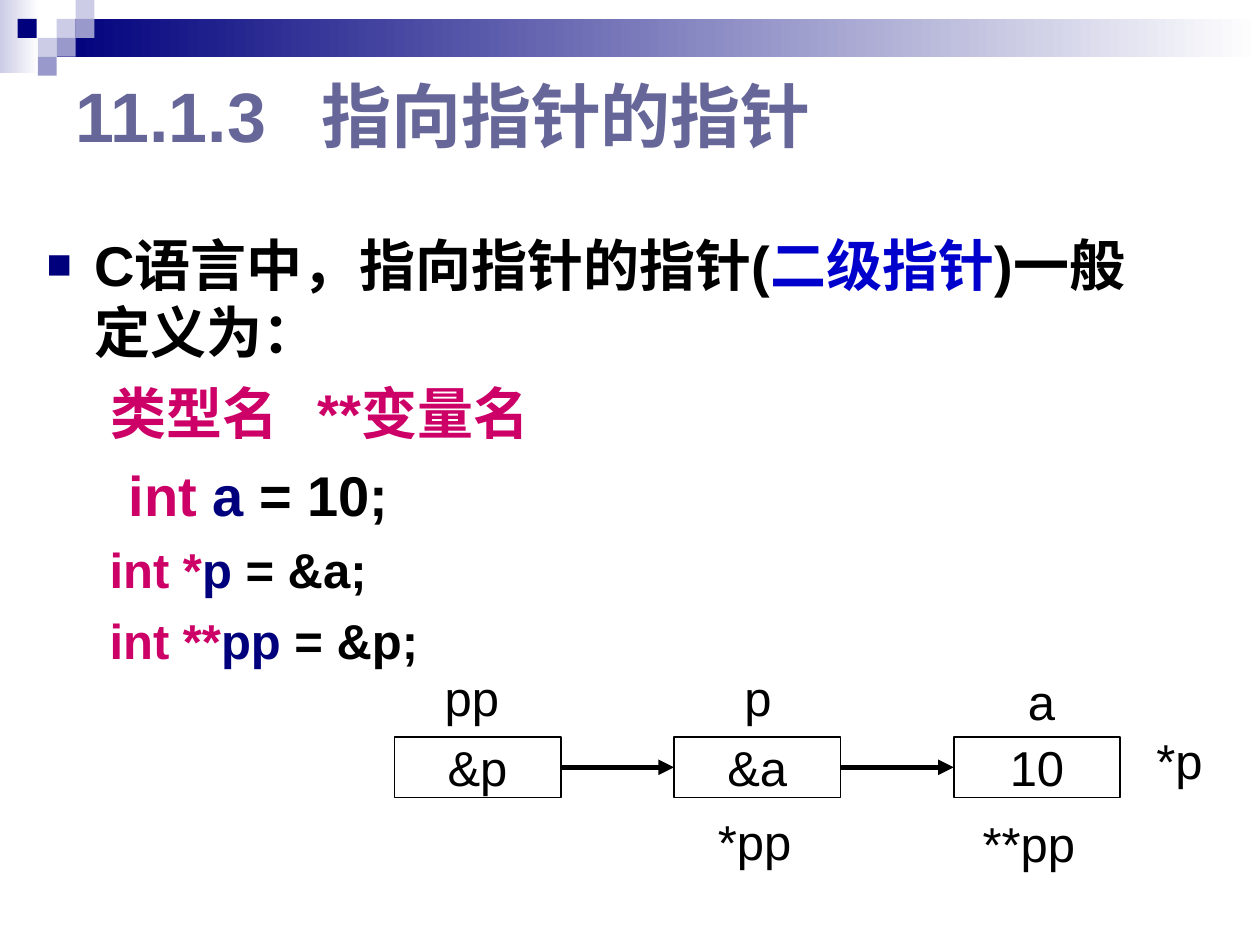
from dataclasses import dataclass
from itertools import pairwise

from lxml.etree import SubElement
from pptx import Presentation
from pptx.dml.color import RGBColor
from pptx.enum.shapes import MSO_CONNECTOR, MSO_SHAPE
from pptx.enum.text import MSO_ANCHOR, MSO_AUTO_SIZE, PP_ALIGN
from pptx.oxml.ns import qn
from pptx.shapes.autoshape import Shape
from pptx.slide import Slide
from pptx.text.text import Font
from pptx.util import Inches, Pt

WHITE = RGBColor(0xFF, 0xFF, 0xFF)
BLACK = RGBColor(0, 0, 0)
NAVY = RGBColor(0, 0, 0x7D)
PALE = RGBColor(0xCC, 0xCC, 0xE6)
LILAC = RGBColor(0x99, 0x99, 0xCC)
SLATE = RGBColor(0x66, 0x66, 0x99)
BLUE = RGBColor(0, 0, 0xCC)
PINK = RGBColor(0xCC, 0, 0x66)

TILE = 0.15
BOX_TOP, BOX_W, BOX_H = 5.85, 1.32, 0.48
LABEL_H = 0.57


@dataclass(frozen=True)
class Band:
    left: float
    top: float
    width: float
    height: float
    color: RGBColor


@dataclass(frozen=True)
class Tile:
    left: float
    top: float
    color: RGBColor


@dataclass(frozen=True)
class Piece:
    text: str
    color: RGBColor


@dataclass(frozen=True)
class Line:
    pieces: tuple[Piece, ...]
    size: int
    margin: float
    indent: float = 0
    level: int = 0
    before: int = 8
    bullet: bool = False


@dataclass(frozen=True)
class Label:
    text: str
    left: float
    top: float
    width: float


@dataclass(frozen=True)
class Cell:
    text: str
    left: float


BANDS = (
    Band(0, 0, 0.31, 0.58, PALE),
    Band(0.45, 0.15, 9.55, 0.3, NAVY),
)
TILES = (
    Tile(0.45, 0.15, PALE),
    Tile(0.6, 0, PALE),
    Tile(0.6, 0.15, LILAC),
    Tile(0.3, 0.3, PALE),
    Tile(0.14, 0.15, NAVY),
    Tile(0.45, 0.3, LILAC),
    Tile(0.3, 0.45, LILAC),
)
LINES = (
    Line((Piece("C语言中，指向指针的指针(", BLACK), Piece("二级指针", BLUE),
          Piece(")一般定义为：", BLACK)), 32, 0.38, -0.38, bullet=True),
    Line((Piece("类型名\t**变量名", PINK),), 32, 2.15, -1.64),
    Line((Piece("int ", PINK), Piece("a", NAVY), Piece(" = 10;", BLACK)), 32, 0.65),
    Line((Piece("int *", PINK), Piece("p", NAVY), Piece(" = &a;", BLACK)),
         28, 0.5, level=1, before=7),
    Line((Piece("int **", PINK), Piece("pp", NAVY), Piece(" = &p;", BLACK)),
         28, 0.5, level=1, before=7),
)
CELLS = (Cell("&p", 3.13), Cell("&a", 5.35), Cell("10", 7.57))
LABELS = (
    Label("pp", 3.43, 5.25, 0.65),
    Label("p", 5.81, 5.25, 0.43),
    Label("a", 8.06, 5.28, 0.43),
    Label("*p", 9.08, 5.75, 0.6),
    Label("*pp", 5.6, 6.39, 0.8),
    Label("**pp", 7.7, 6.41, 0.96),
)


def style(font: Font, size: int, color: RGBColor, bold: bool = False) -> None:
    font.name = "Arial"
    font.size = Pt(size)
    font.bold = bold
    font.color.rgb = color


def place(shape: Shape, left: float, top: float, width: float, height: float) -> None:
    shape.left, shape.top = Inches(left), Inches(top)
    shape.width, shape.height = Inches(width), Inches(height)


def add_rect(slide: Slide, left: float, top: float, width: float, height: float) -> Shape:
    rect = slide.shapes.add_shape(
        MSO_SHAPE.RECTANGLE, Inches(left), Inches(top), Inches(width), Inches(height))
    rect.shadow.inherit = False
    return rect


def add_band(slide: Slide, band: Band) -> None:
    rect = add_rect(slide, band.left, band.top, band.width, band.height)
    rect.line.fill.background()
    rect.fill.gradient()
    rect.fill.gradient_angle = 180
    for stop, color in zip(rect.fill.gradient_stops, (WHITE, band.color)):
        stop.color.rgb = color


def add_tile(slide: Slide, tile: Tile) -> None:
    rect = add_rect(slide, tile.left, tile.top, TILE, TILE)
    rect.line.fill.background()
    rect.fill.solid()
    rect.fill.fore_color.rgb = tile.color


def add_title(slide: Slide) -> None:
    title = slide.shapes.title
    place(title, 0.5, 0.5, 7.1, 0.81)
    frame = title.text_frame
    frame.text = "11.1.3\t指向指针的指针"
    frame.auto_size = MSO_AUTO_SIZE.NONE
    frame.vertical_anchor = MSO_ANCHOR.MIDDLE
    para = frame.paragraphs[0]
    para.alignment = PP_ALIGN.LEFT
    props = para._p.get_or_add_pPr()
    props.set("marL", str(Inches(1.95)))
    props.set("indent", str(Inches(-1.95)))
    style(para.runs[0].font, 40, SLATE, True)


def add_body(slide: Slide) -> None:
    body = slide.placeholders[1]
    place(body, 0.27, 1.78, 8.98, 4.88)
    frame = body.text_frame
    frame.auto_size = MSO_AUTO_SIZE.NONE
    for index, line in enumerate(LINES):
        para = frame.add_paragraph() if index else frame.paragraphs[0]
        props = para._p.get_or_add_pPr()
        props.set("marL", str(Inches(line.margin)))
        props.set("indent", str(Inches(line.indent)))
        if line.bullet:
            tint = SubElement(props, qn("a:buClr"))
            SubElement(tint, qn("a:srgbClr")).set("val", str(NAVY))
            SubElement(props, qn("a:buSzPct")).set("val", "75000")
            SubElement(props, qn("a:buFont")).set("typeface", "Arial")
            SubElement(props, qn("a:buChar")).set("char", "■")
        else:
            SubElement(props, qn("a:buNone"))
        para.level = line.level
        para.space_before = Pt(line.before if index else 0)
        for piece in line.pieces:
            run = para.add_run()
            run.text = piece.text
            style(run.font, line.size, piece.color, True)


def add_cell(slide: Slide, cell: Cell) -> None:
    rect = add_rect(slide, cell.left, BOX_TOP, BOX_W, BOX_H)
    rect.fill.background()
    rect.line.color.rgb = BLACK
    rect.line.width = Pt(1)
    frame = rect.text_frame
    frame.text = cell.text
    frame.word_wrap = False
    frame.vertical_anchor = MSO_ANCHOR.MIDDLE
    frame.paragraphs[0].alignment = PP_ALIGN.CENTER
    style(frame.paragraphs[0].runs[0].font, 28, BLACK)


def add_arrow(slide: Slide, start: Cell, end: Cell) -> None:
    mid = Inches(BOX_TOP + BOX_H / 2)
    arrow = slide.shapes.add_connector(
        MSO_CONNECTOR.STRAIGHT, Inches(start.left + BOX_W), mid, Inches(end.left), mid)
    arrow.line.color.rgb = BLACK
    arrow.line.width = Pt(3)
    SubElement(arrow.line._get_or_add_ln(), qn("a:tailEnd")).set("type", "triangle")
    SubElement(arrow._element.spPr, qn("a:effectLst"))


def add_label(slide: Slide, label: Label) -> None:
    box = slide.shapes.add_textbox(
        Inches(label.left), Inches(label.top), Inches(label.width), Inches(LABEL_H))
    frame = box.text_frame
    frame.text = label.text
    frame.word_wrap = False
    frame.auto_size = MSO_AUTO_SIZE.NONE
    style(frame.paragraphs[0].runs[0].font, 28, BLACK)


def main() -> None:
    deck = Presentation()
    deck.slide_width, deck.slide_height = Inches(10), Inches(7.5)
    slide = deck.slides.add_slide(deck.slide_layouts[1])
    for band in BANDS:
        add_band(slide, band)
    for tile in TILES:
        add_tile(slide, tile)
    add_title(slide)
    add_body(slide)
    for cell in CELLS:
        add_cell(slide, cell)
    for start, end in pairwise(CELLS):
        add_arrow(slide, start, end)
    for label in LABELS:
        add_label(slide, label)
    deck.save("out.pptx")


if __name__ == "__main__":
    main()
